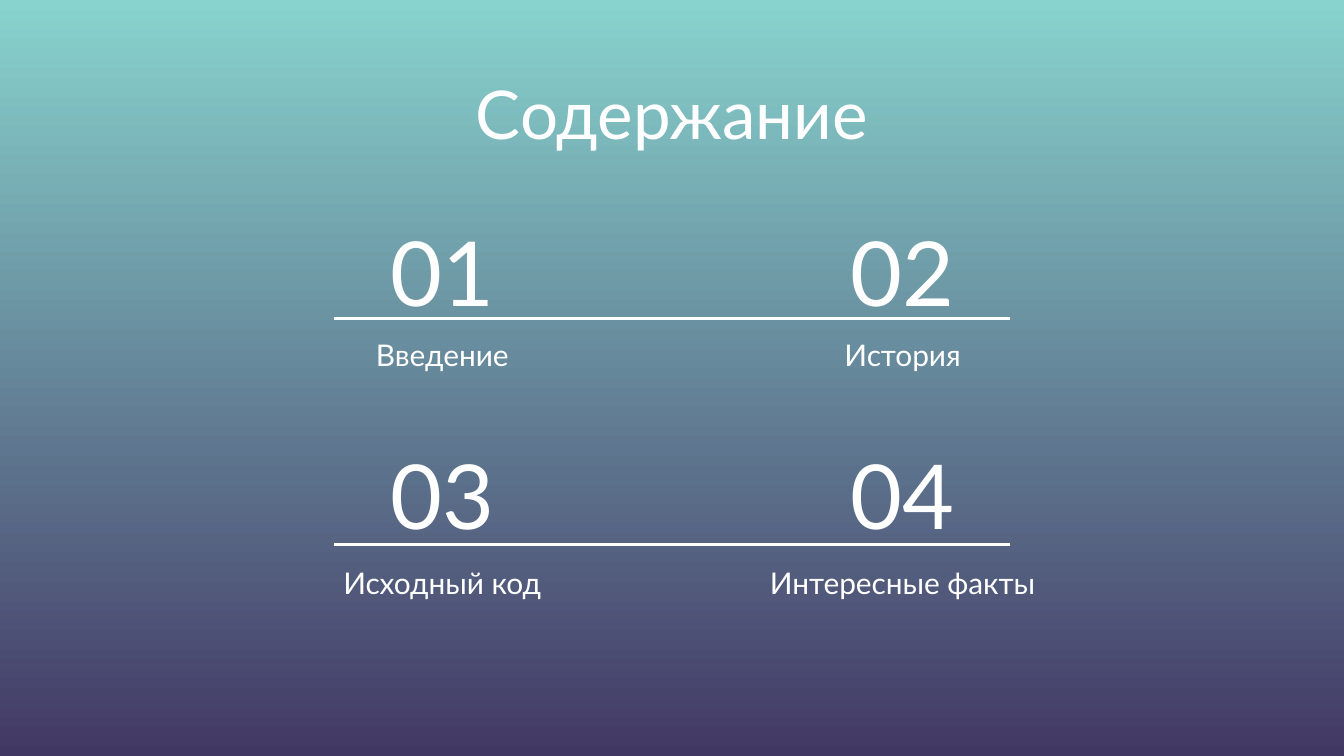
from lxml import etree
from pptx import Presentation
from pptx.dml.color import RGBColor
from pptx.enum.shapes import MSO_CONNECTOR
from pptx.enum.text import MSO_ANCHOR, PP_ALIGN
from pptx.oxml.ns import qn
from pptx.util import Cm, Pt

STRAIGHT = MSO_CONNECTOR.STRAIGHT
TOP, MIDDLE, BOTTOM = MSO_ANCHOR.TOP, MSO_ANCHOR.MIDDLE, MSO_ANCHOR.BOTTOM
CENTER = PP_ALIGN.CENTER

COLORS = {"sky": "88D3CE", "night": "423864", "ink": "FFFFFF"}
FONT = "Lato"
INSET = Cm(0.25)
BLANK_LAYOUT = 6


class ContentsSlide:
    """Holds the style and the current slide; lengths are in centimetres."""

    def __init__(self, slide):
        self.slide = slide
        self.ink = self.color("ink")

    def color(self, name):
        return RGBColor.from_string(COLORS[name])

    def background(self, start, end):
        fill = self.slide.background.fill
        fill.gradient()
        fill.gradient_angle = 270  # downwards
        for stop, position, name in zip(fill.gradient_stops, (0, 1), (start, end)):
            stop.position = position
            stop.color.rgb = self.color(name)

    def text(self, content, center, top, width, height, size, anchor):
        box = self.slide.shapes.add_textbox(
            Cm(center - width / 2), Cm(top), Cm(width), Cm(height))
        frame = box.text_frame
        frame.word_wrap = True
        frame.vertical_anchor = anchor
        frame.margin_left = frame.margin_right = INSET
        frame.margin_top = frame.margin_bottom = INSET
        frame.text = content
        paragraph = frame.paragraphs[0]
        paragraph.alignment = CENTER
        font = paragraph.runs[0].font
        font.name, font.size = FONT, Pt(size)
        font.color.rgb = self.ink

    def rule(self, left, right, y):
        line = self.slide.shapes.add_connector(
            STRAIGHT, Cm(left), Cm(y), Cm(right), Cm(y))
        line.line.color.rgb = self.ink
        line.line.width = Pt(1.5)
        etree.SubElement(line._element.spPr, qn("a:effectLst"))


def main():
    deck = Presentation()
    deck.slide_width, deck.slide_height = Cm(25.4), Cm(14.29)
    contents = ContentsSlide(
        deck.slides.add_slide(deck.slide_layouts[BLANK_LAYOUT]))
    contents.background("sky", "night")

    # Heading
    contents.text("Содержание", 12.7, 1.12, 19.18, 2.62, 36, TOP)

    # Two rows of sections: number, rule and label
    column_centers = (8.36, 17.06)
    rows = (
        # number top, rule y, label top, labels
        (4.32, 6.02, 5.69, ("Введение", "История")),
        (8.53, 10.29, 10.01, ("Исходный код", "Интересные факты")),
    )
    number = 0
    for number_top, rule_y, label_top, labels in rows:
        for center, label in zip(column_centers, labels):
            number += 1
            contents.text(f"{number:02}", center, number_top, 4.88, 1.6, 48, MIDDLE)
            contents.text(label, center, label_top, 7.32, 1.6, 16, BOTTOM)
        contents.rule(6.32, 19.08, rule_y)

    deck.save("out.pptx")


if __name__ == "__main__":
    main()
